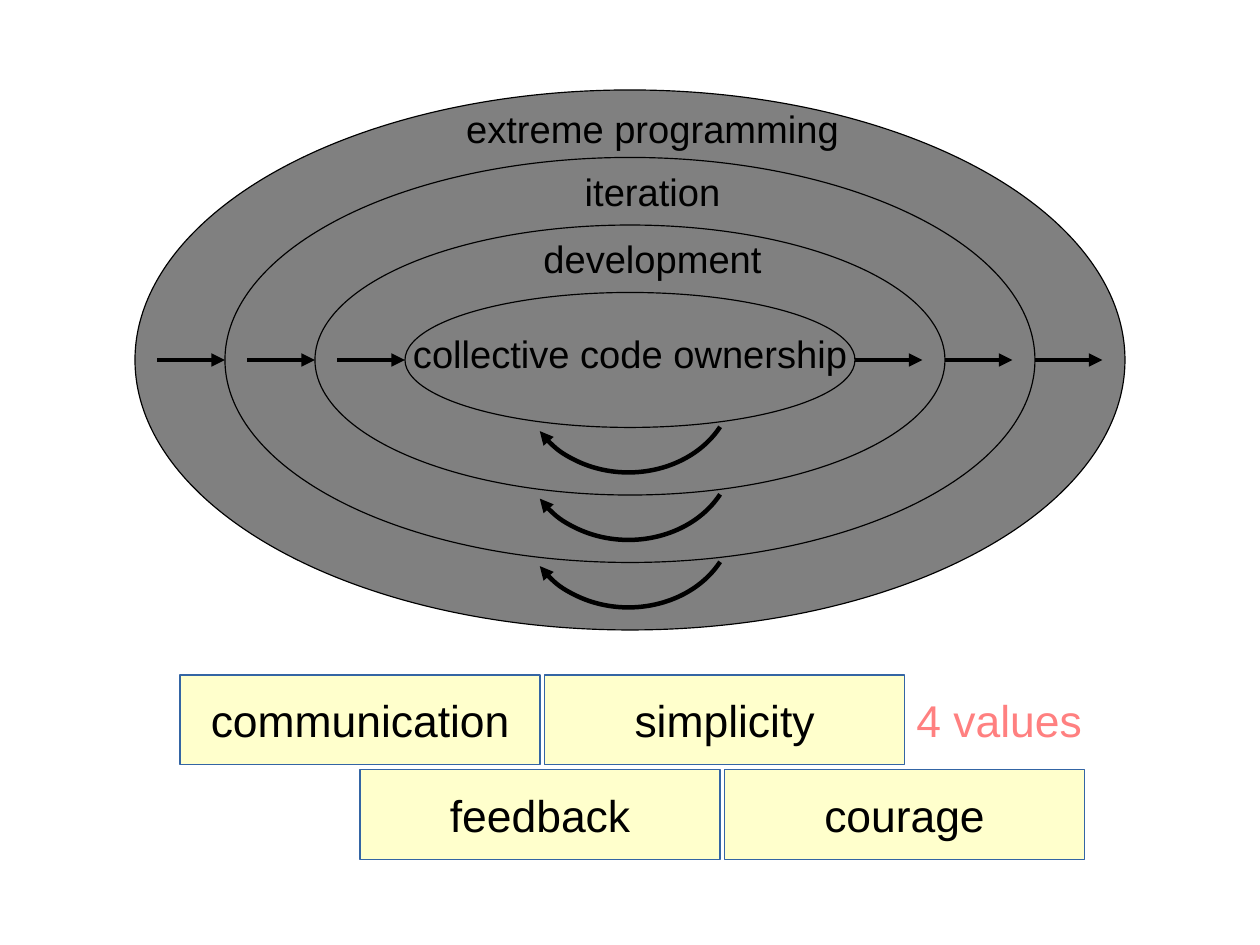
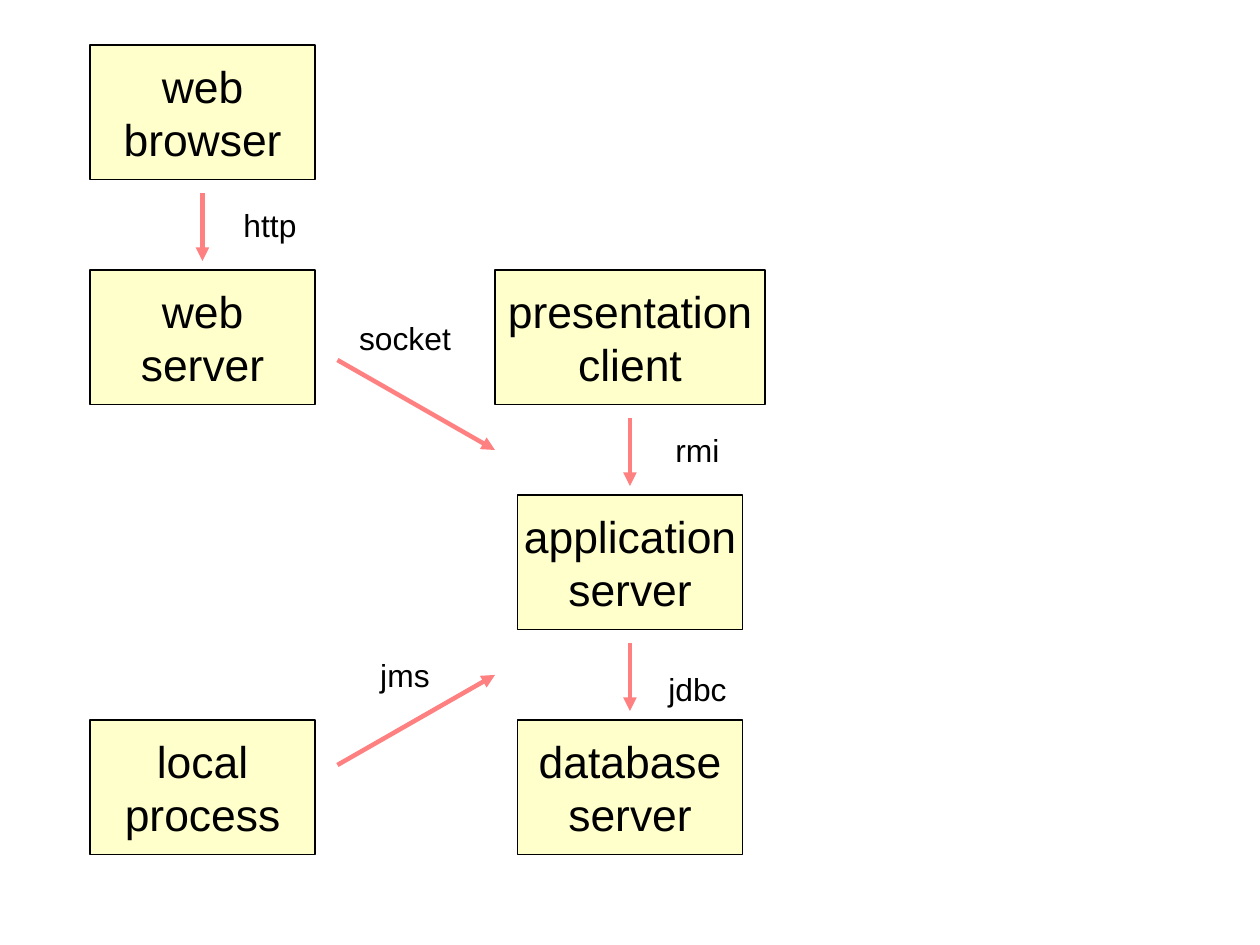
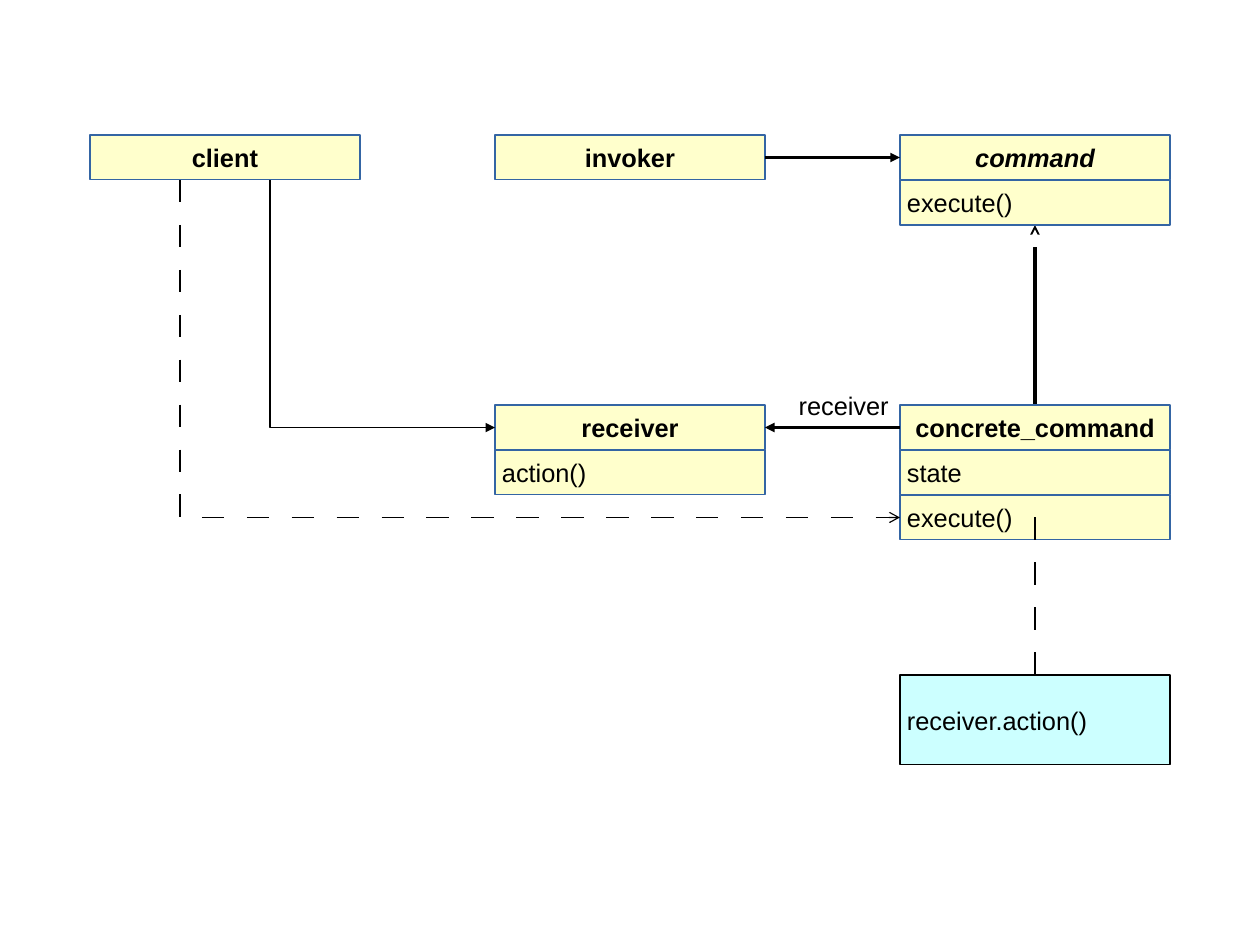
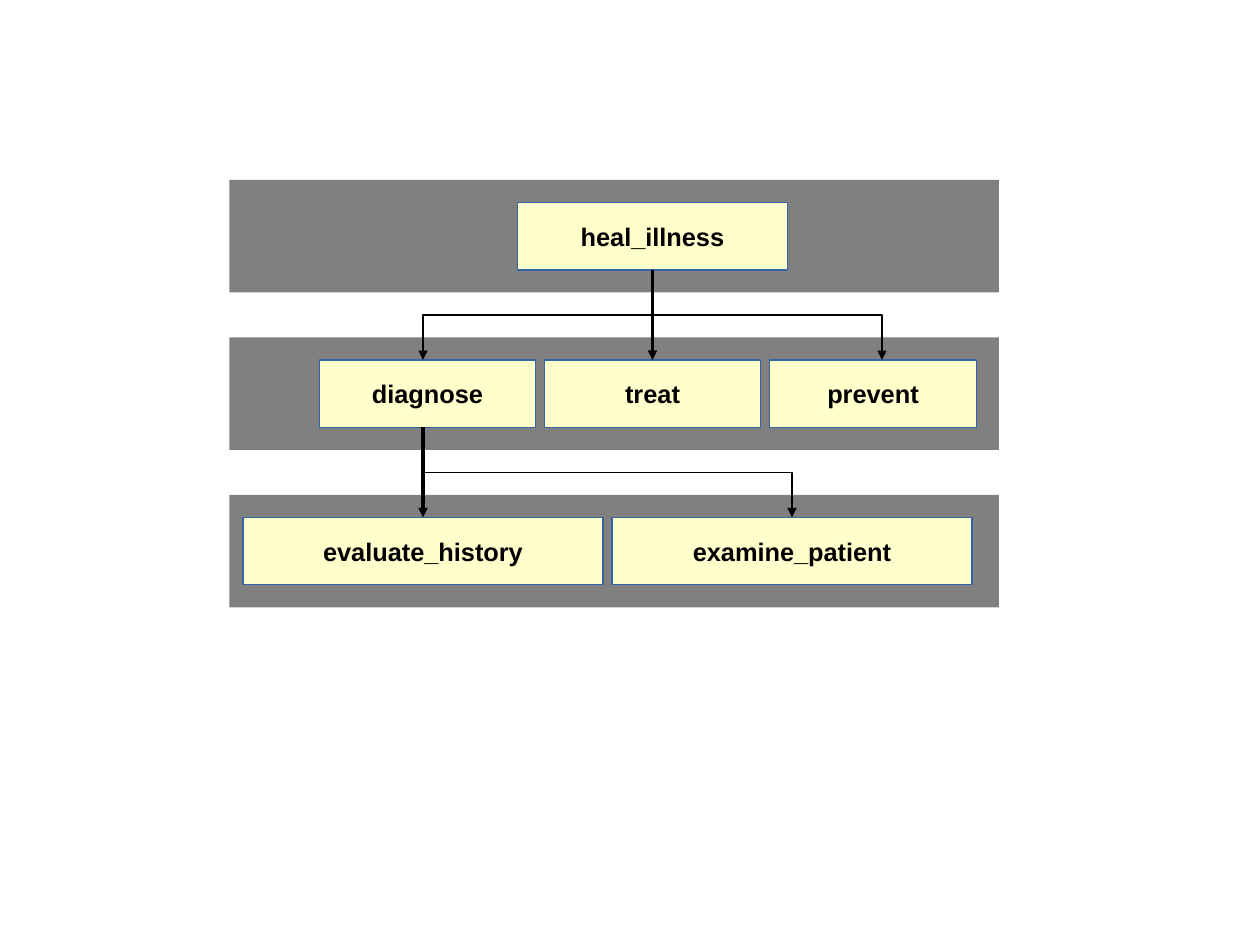
from lxml.etree import SubElement
from pptx import Presentation
from pptx.dml.color import RGBColor
from pptx.enum.shapes import MSO_CONNECTOR, MSO_SHAPE
from pptx.enum.text import MSO_ANCHOR, PP_ALIGN
from pptx.oxml.ns import qn
from pptx.util import Pt

GRID = 28.35  # points in one grid unit; every position below counts grid units
FONT = "Arial"
BLACK, WHITE, GREY = "000000", "FFFFFF", "808080"
CREAM, AQUA, BLUE, CORAL = "FFFFCC", "CCFFFF", "3465A4", "FF8080"
HAIRLINE, DASHED_WIDTH, THICK = 0, 0.75, 2.83
DASH_PERCENT = 1920  # dash and gap length, relative to the line width


def grid(*units):
    return [Pt(GRID * unit) for unit in units]


def color(hex_string):
    return RGBColor.from_string(hex_string)


def write(shape, text, size=16, text_color=BLACK, bold=False, italic=False,
          align=PP_ALIGN.CENTER, indent=0):
    """Set the text of a shape, one paragraph for each line."""
    frame = shape.text_frame
    frame.word_wrap = True
    frame.vertical_anchor = MSO_ANCHOR.MIDDLE
    frame.margin_top = frame.margin_right = frame.margin_bottom = Pt(0)
    frame.margin_left = Pt(indent)
    frame.text = text
    for paragraph in frame.paragraphs:
        paragraph.alignment = align
        font = paragraph.font
        font.name, font.size = FONT, Pt(size)
        font.bold, font.italic = bold, italic
        font.color.rgb = color(text_color)


def add_box(slide, bounds, fill=CREAM, line=BLUE, kind=MSO_SHAPE.RECTANGLE,
            text=None, **text_format):
    shape = slide.shapes.add_shape(kind, *grid(*bounds))
    shape.shadow.inherit = False
    shape.fill.solid()
    shape.fill.fore_color.rgb = color(fill)
    if line:
        shape.line.color.rgb = color(line)
        shape.line.width = Pt(HAIRLINE)
    else:
        shape.line.fill.background()
    if text:
        write(shape, text, **text_format)
    return shape


def add_label(slide, bounds, text, **text_format):
    write(slide.shapes.add_textbox(*grid(*bounds)), text, **text_format)


def style_line(shape, line_color, width, head, dashed=False):
    """Format a stroke; head is the arrowhead kind at its end, or None."""
    line = shape.line
    line.color.rgb = color(line_color)
    line.width = Pt(DASHED_WIDTH if dashed else width)
    outline = shape._element.spPr.find(qn("a:ln"))
    if dashed:
        pattern = SubElement(outline, qn("a:custDash"))
        length = str(DASH_PERCENT * 1000)
        SubElement(pattern, qn("a:ds"), d=length, sp=length)
    if head:
        SubElement(outline, qn("a:tailEnd"), type=head)


def add_line(slide, start, end, line_color=BLACK, width=HAIRLINE,
             head="triangle", dashed=False):
    connector = slide.shapes.add_connector(
        MSO_CONNECTOR.STRAIGHT, *grid(*start, *end))
    style_line(connector, line_color, width, head, dashed)
    SubElement(connector._element.spPr, qn("a:effectLst"))


def add_elbow(slide, points, head="triangle", dashed=False):
    start, *others = [grid(*point) for point in points]
    builder = slide.shapes.build_freeform(*start)
    builder.add_line_segments(others, close=False)
    shape = builder.convert_to_shape()
    shape.fill.background()
    style_line(shape, BLACK, HAIRLINE, head, dashed)
    shape.shadow.inherit = False


def add_loop_arrow(slide, top):
    """Add a bowl-shaped arrow that runs from right to left."""
    arc = slide.shapes.add_shape(MSO_SHAPE.ARC, *grid(12.01, top, 3.91, 4.65))
    arc.rotation = 90
    arc.adjustments[0], arc.adjustments[1] = 176.89, 37.34
    arc.fill.background()
    style_line(arc, BLACK, THICK, "triangle")
    arc.shadow.inherit = False


def add_class(slide, left, top, name, members=(), italic=False):
    """Add a class box: its name, with one row below for each member."""
    add_box(slide, (left, top, 6, 1), text=name, bold=True, italic=italic)
    for row, member in enumerate(members, 1):
        add_box(slide, (left, top + row, 6, 1), text=member,
                align=PP_ALIGN.LEFT, indent=4.4)


def build_programming_rings(slide):
    rings = [
        ("extreme programming", 9, 2.1),
        ("iteration", 9, 3.5),
        ("development", 9, 5),
        ("collective code ownership", 8.5, 7.1),
    ]
    for level, (text, label_left, label_top) in enumerate(rings):
        left, top = 3 + 2 * level, 2 + 1.5 * level
        width, height = 22 - 4 * level, 12 - 3 * level
        add_box(slide, (left, top, width, height), GREY, BLACK, MSO_SHAPE.OVAL)
        if level:
            add_loop_arrow(slide, 10.72 - 1.5 * level)
            for start in (left - 1.5, left + width):
                add_line(slide, (start, 8), (start + 1.5, 8), width=THICK)
        add_label(slide, (label_left, label_top, 11, 1.5), text, size=24)

    values = [("communication", 4, 15), ("simplicity", 12.1, 15),
              ("feedback", 8, 17.1), ("courage", 16.1, 17.1)]
    for text, left, top in values:
        add_box(slide, (left, top, 8, 2), text=text, size=28)
    add_label(slide, (20.2, 15, 4, 2), "4 values", size=28, text_color=CORAL)


def build_architecture(slide):
    nodes = [
        ("web\nbrowser", 2, 1, 5),
        ("web\nserver", 2, 6, 5),
        ("local\nprocess", 2, 16, 5),
        ("presentation\nclient", 11, 6, 6),
        ("application\nserver", 11.5, 11, 5),
        ("database\nserver", 11.5, 16, 5),
    ]
    for text, left, top, width in nodes:
        add_box(slide, (left, top, width, 3), line=BLACK, text=text, size=28)

    protocols = [
        ("http", (4.5, 4.3), (4.5, 5.8), (5, 4.5, 2, 1)),
        ("rmi", (14, 9.3), (14, 10.8), (14.5, 9.5, 2, 1)),
        ("jdbc", (14, 14.3), (14, 15.8), (14.5, 14.8, 2, 1)),
        ("socket", (7.5, 8), (11, 10), (7.5, 7, 3, 1)),
        ("jms", (7.5, 17), (11, 15), (7.5, 14.5, 3, 1)),
    ]
    for text, start, end, label_bounds in protocols:
        add_line(slide, start, end, CORAL, THICK)
        add_label(slide, label_bounds, text, size=20)


def build_command_pattern(slide):
    add_line(slide, (23, 9), (23, 5))
    add_line(slide, (23, 5.5), (23, 5.1), WHITE)
    add_class(slide, 2, 3, "client")
    add_class(slide, 11, 3, "invoker")
    add_class(slide, 20, 3, "command", ["execute()"], italic=True)
    add_class(slide, 20, 9, "concrete_command", ["state", "execute()"])
    add_class(slide, 11, 9, "receiver", ["action()"])
    add_line(slide, (17, 3.5), (20, 3.5))
    add_line(slide, (20, 9.5), (17, 9.5))
    add_elbow(slide, [(6, 4), (6, 9.5), (11, 9.5)])
    add_elbow(slide, [(4, 4), (4, 11.5), (20, 11.5)], head="arrow", dashed=True)
    add_label(slide, (17.5, 8.5, 2.5, 1), "receiver")
    add_box(slide, (20, 15, 6, 2), AQUA, BLACK, text="receiver.action()",
            align=PP_ALIGN.LEFT, indent=4.4)
    add_line(slide, (23, 11.5), (23, 15), head=None, dashed=True)


def build_goal_tree(slide):
    levels = [
        [("heal_illness", 11.5, 6)],
        [("diagnose", 7.1, 4.8), ("treat", 12.1, 4.8), ("prevent", 17.1, 4.6)],
        [("evaluate_history", 5.4, 8), ("examine_patient", 13.6, 8)],
    ]
    for level, goals in enumerate(levels):
        top = 4 + 3.5 * level
        add_box(slide, (5.1, top, 17.1, 2.5), GREY, line=None)
        for text, left, width in goals:
            add_box(slide, (left, top + 0.5, width, 1.5), text=text, bold=True)

    branches = [(14.5, 6, [9.4, 19.6]), (9.4, 9.5, [17.6])]
    for trunk, top, sides in branches:
        add_line(slide, (trunk, top), (trunk, top + 2))
        for side in sides:
            add_elbow(slide, [(trunk, top + 1), (side, top + 1), (side, top + 2)])


def main():
    presentation = Presentation()
    presentation.slide_width, presentation.slide_height = grid(28, 21)
    blank_layout = presentation.slide_layouts[6]
    for build in (build_programming_rings, build_architecture,
                  build_command_pattern, build_goal_tree):
        build(presentation.slides.add_slide(blank_layout))
    presentation.save("out.pptx")


if __name__ == "__main__":
    main()
